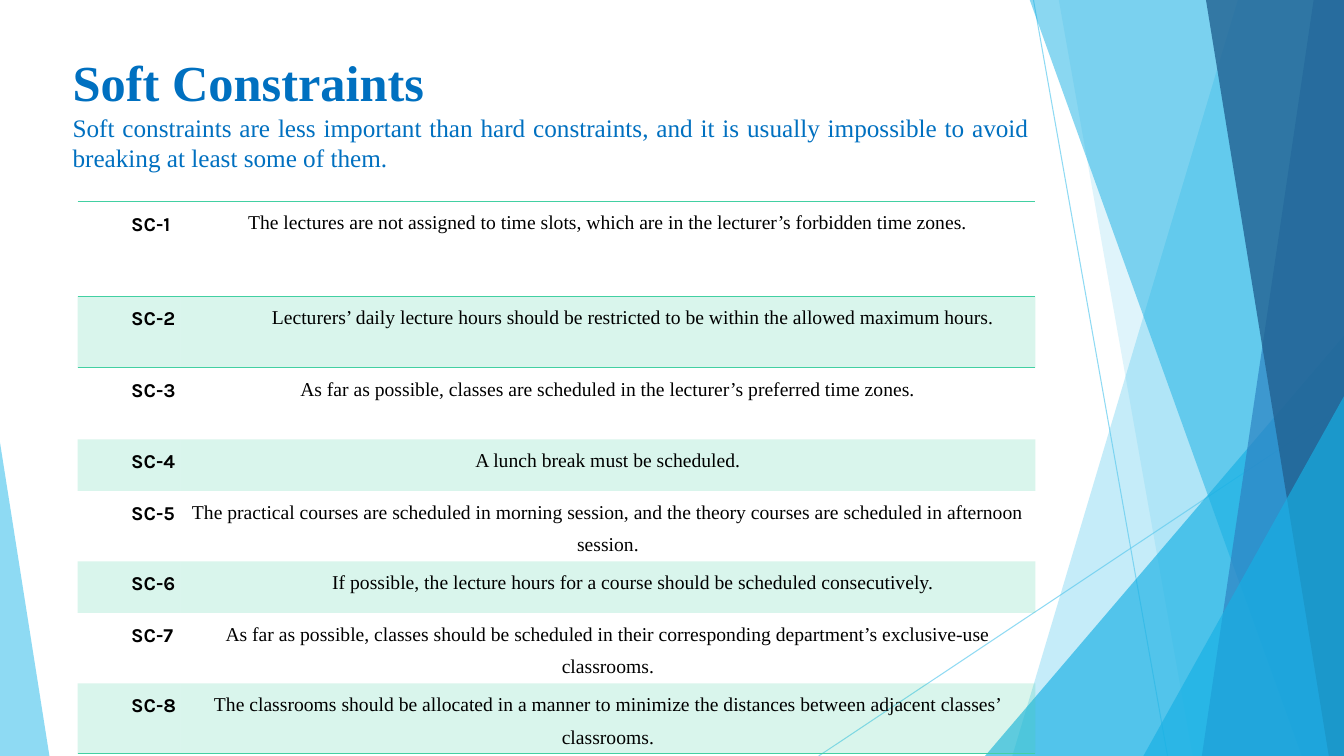
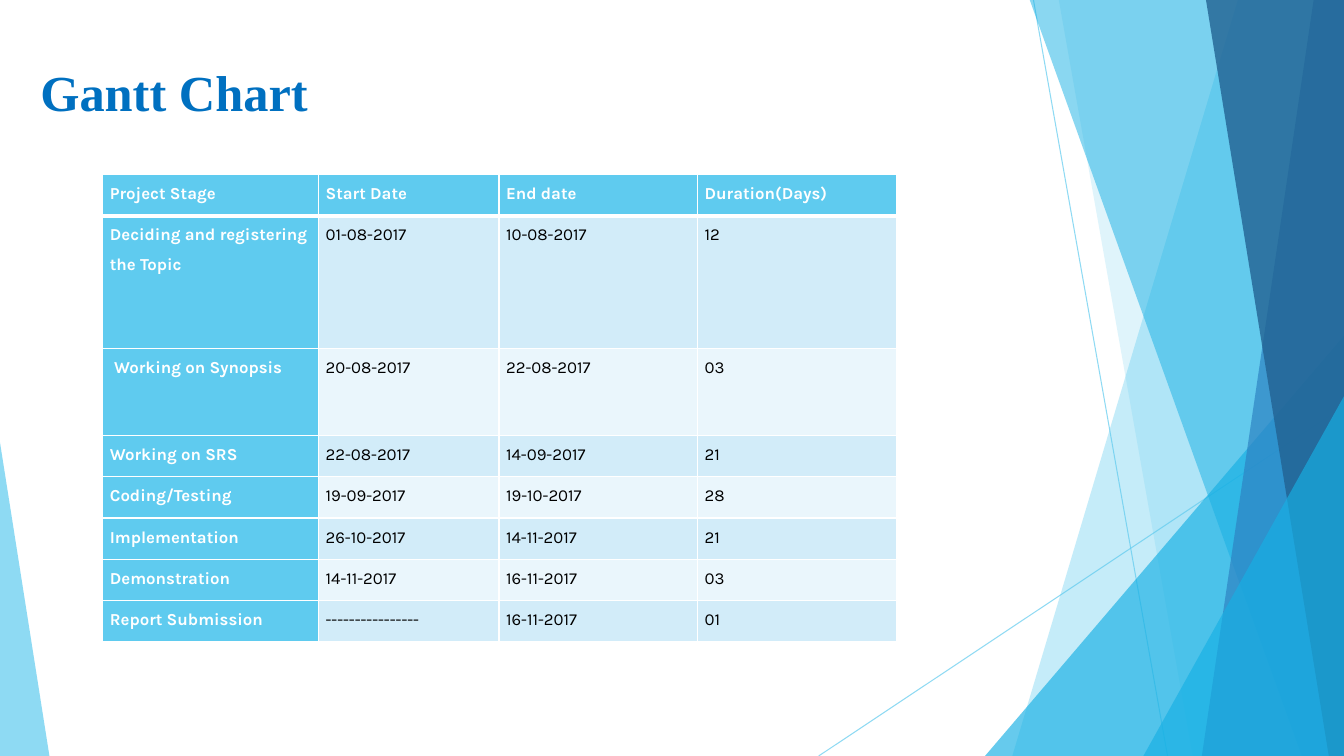
from dataclasses import dataclass
from typing import Any

from lxml import etree
from pptx import Presentation
from pptx.dml.color import RGBColor
from pptx.enum.shapes import MSO_CONNECTOR, MSO_SHAPE
from pptx.enum.text import MSO_ANCHOR, MSO_AUTO_SIZE, PP_ALIGN
from pptx.oxml.ns import qn
from pptx.util import Inches, Pt

STRAIGHT = MSO_CONNECTOR.STRAIGHT
TRIANGLE = MSO_SHAPE.ISOSCELES_TRIANGLE
LEFT, CENTER, JUSTIFY = PP_ALIGN.LEFT, PP_ALIGN.CENTER, PP_ALIGN.JUSTIFY

SKY = RGBColor(0x5F, 0xCB, 0xEF)
CYAN = RGBColor(0x17, 0xB0, 0xE4)
BLUE = RGBColor(0x2E, 0x83, 0xC3)
NAVY = RGBColor(0x22, 0x62, 0x92)
TITLE_BLUE = RGBColor(0x00, 0x70, 0xC0)
GREEN = RGBColor(0x42, 0xD0, 0xA2)
PALE_BLUE = RGBColor(0xD2, 0xEC, 0xF9)
PALER_BLUE = RGBColor(0xEA, 0xF6, 0xFC)
WHITE = RGBColor(0xFF, 0xFF, 0xFF)
BLACK = RGBColor(0x00, 0x00, 0x00)

SERIF, SANS = "Times New Roman", "Karla"
SLIDE_WIDTH, SLIDE_HEIGHT = 13.33, 7.5
BAND_TOP = -0.01
PLAIN_TABLE_STYLE = "{2D5ABB26-0587-4C30-8999-92F81FD0307C}"


@dataclass(frozen=True)
class Band:
    top_left: float
    bottom_left: float
    color: RGBColor
    opacity: int


@dataclass(frozen=True)
class Corner:
    left: float
    top: float
    width: float
    apex: float
    color: RGBColor
    opacity: int


@dataclass(frozen=True)
class Ray:
    start: tuple[float, float]
    end: tuple[float, float]


@dataclass(frozen=True)
class Constraint:
    text: str
    height: float
    indent: float = 0


@dataclass(frozen=True)
class Stage:
    values: tuple[str, str, str, str]
    height: float = 0.41


BACKDROP = (
    Ray((10.25, 0), (11.58, 7.5)),
    Ray((13.33, 4.03), (8.12, 7.5)),
    Band(12.28, 10.04, SKY, 36),
    Band(10.5, 11.83, SKY, 20),
    Corner(9.77, 3.33, 3.56, 1, CYAN, 66),
    Band(10.21, 12.91, CYAN, 50),
    Band(13.03, 11.92, BLUE, 70),
    Band(11.96, 13.18, NAVY, 80),
    Corner(11.34, 3.93, 1.99, 1, CYAN, 66),
    Corner(0, 4.39, 0.49, 0, SKY, 70),
)

CONSTRAINTS = (
    Constraint("The lectures are not assigned to time slots, which are in the lecturer’s forbidden time zones.", 0.94),
    Constraint("Lecturers’ daily lecture hours should be restricted to be within the allowed maximum hours.", 0.71, 0.5),
    Constraint("As far as possible, classes are scheduled in the lecturer’s preferred time zones.", 0.71),
    Constraint("A lunch break must be scheduled.", 0.51),
    Constraint("The practical courses are scheduled in morning session, and the theory courses "
               "are scheduled in afternoon session.", 0.7),
    Constraint("If possible, the lecture hours for a course should be scheduled consecutively.", 0.51, 0.5),
    Constraint("As far as possible, classes should be scheduled in their corresponding department’s "
               "exclusive-use classrooms.", 0.7),
    Constraint("The classrooms should be allocated in a manner to minimize the distances between "
               "adjacent classes’ classrooms.", 0.7),
)

STAGES = (
    Stage(("Project Stage", "Start Date", "End date", "Duration(Days)")),
    Stage(("Deciding and registering the Topic", "01-08-2017", "10-08-2017", "12"), 1.32),
    Stage((" Working on Synopsis", "20-08-2017", "22-08-2017", "03"), 0.86),
    Stage(("Working on SRS", "22-08-2017", "14-09-2017", "21")),
    Stage(("Coding/Testing", "19-09-2017", "19-10-2017", "28")),
    Stage(("Implementation", "26-10-2017", "14-11-2017", "21")),
    Stage(("Demonstration", "14-11-2017", "16-11-2017", "03")),
    Stage(("Report Submission", "----------------", "16-11-2017", "01")),
)


def set_opacity(element: Any, opacity: int) -> None:
    for color in element.iter(qn("a:srgbClr")):
        etree.SubElement(color, qn("a:alpha")).set("val", str(opacity * 1000))


def draw_ray(slide: Any, ray: Ray) -> Any:
    connector = slide.shapes.add_connector(STRAIGHT, *map(Inches, ray.start + ray.end))
    connector.line.color.rgb = SKY
    connector.line.width = Pt(0.75)
    set_opacity(connector.element, 70)
    etree.SubElement(connector.element.spPr, qn("a:effectLst"))
    return connector


def draw_area(slide: Any, area: Band | Corner) -> Any:
    if isinstance(area, Band):
        outline = ((SLIDE_WIDTH, BAND_TOP), (SLIDE_WIDTH, SLIDE_HEIGHT), (area.bottom_left, SLIDE_HEIGHT))
        builder = slide.shapes.build_freeform(Inches(area.top_left), Inches(BAND_TOP))
        builder.add_line_segments([(Inches(x), Inches(y)) for x, y in outline], close=True)
        shape = builder.convert_to_shape()
    else:
        shape = slide.shapes.add_shape(TRIANGLE, Inches(area.left), Inches(area.top),
                                       Inches(area.width), Inches(SLIDE_HEIGHT - area.top))
        shape.adjustments[0] = area.apex
    shape.shadow.inherit = False
    shape.fill.solid()
    shape.fill.fore_color.rgb = area.color
    shape.line.fill.background()
    set_opacity(shape.element, area.opacity)
    return shape


def move_backdrop_to_layout(slide: Any) -> None:
    for item in BACKDROP:
        shape = draw_ray(slide, item) if isinstance(item, Ray) else draw_area(slide, item)
        slide.slide_layout.shapes.element.append(shape.element)


def write(paragraph: Any, text: str, *, font: str, size: float, color: RGBColor, bold: bool = False,
          align: Any = LEFT, line_spacing: float = 1, indent: float = 0) -> None:
    run = paragraph.add_run()
    run.text = text
    run.font.name = font
    run.font.size = Pt(size)
    run.font.bold = bold
    run.font.color.rgb = color
    paragraph.alignment = align
    paragraph.line_spacing = line_spacing
    paragraph.space_before = Pt(0)
    if indent:
        paragraph._p.get_or_add_pPr().set("marL", str(Inches(indent)))


def place_title(slide: Any, text: str, left: float, top: float, width: float, height: float) -> Any:
    title = slide.shapes.title
    title.left, title.top, title.width, title.height = map(Inches, (left, top, width, height))
    frame = title.text_frame
    frame.auto_size = MSO_AUTO_SIZE.NONE
    frame.word_wrap = True
    frame.vertical_anchor = MSO_ANCHOR.BOTTOM
    write(frame.paragraphs[0], text, font=SERIF, size=36, color=TITLE_BLUE, bold=True)
    return frame


def add_plain_table(slide: Any, left: float, top: float, columns: tuple[float, ...],
                    rows: tuple[float, ...]) -> Any:
    frame = slide.shapes.add_table(len(rows), len(columns), Inches(left), Inches(top),
                                   Inches(sum(columns)), Inches(sum(rows)))
    table = frame.table
    next(frame.element.iter(qn("a:tableStyleId"))).text = PLAIN_TABLE_STYLE
    table.first_row = table.horz_banding = False
    for column, width in zip(table.columns, columns):
        column.width = Inches(width)
    for row, height in zip(table.rows, rows):
        row.height = Inches(height)
    return table


def format_cell(cell: Any, *, margin: float, fill: RGBColor | None, border: RGBColor,
                widths: dict[str, float], opacity: int = 100) -> None:
    cell.margin_left = cell.margin_right = Inches(margin)
    cell.margin_top = cell.margin_bottom = 0
    properties = cell._tc.get_or_add_tcPr()
    for side in "LRTB":
        if side in widths:
            line = etree.SubElement(properties, qn(f"a:ln{side}"), w=str(Pt(widths[side])))
            solid = etree.SubElement(line, qn("a:solidFill"))
            etree.SubElement(solid, qn("a:srgbClr"), val=str(border))
    if fill is None:
        cell.fill.background()
        return
    cell.fill.solid()
    cell.fill.fore_color.rgb = fill
    if opacity < 100:
        set_opacity(properties.find(qn("a:solidFill")), opacity)


def build_constraints(slide: Any) -> None:
    frame = place_title(slide, "Soft Constraints", 0.62, 0.45, 9.69, 1.31)
    write(frame.add_paragraph(),
          "Soft constraints are less important than hard constraints, and it is usually impossible "
          "to avoid breaking at least some of them.",
          font=SERIF, size=18, color=TITLE_BLUE, align=JUSTIFY)
    table = add_plain_table(slide, 0.77, 2, (1.02, 8.48), tuple(item.height for item in CONSTRAINTS))
    ruled_sides = {0: "TB", 1: "T", len(CONSTRAINTS) - 1: "B"}
    for index, constraint in enumerate(CONSTRAINTS):
        label, description = table.rows[index].cells
        for cell in (label, description):
            format_cell(cell, margin=0.03, fill=GREEN if index % 2 else None, opacity=20,
                        border=GREEN, widths=dict.fromkeys(ruled_sides.get(index, ""), 1))
        write(label.text_frame.paragraphs[0], f"SC-{index + 1}", font=SANS, size=14, color=BLACK,
              bold=True, line_spacing=1.5, indent=0.5)
        write(description.text_frame.paragraphs[0], constraint.text, font=SERIF, size=14, color=BLACK,
              align=CENTER, line_spacing=1.5, indent=constraint.indent)


def build_schedule(slide: Any) -> None:
    place_title(slide, "Gantt Chart", 0.3, 0.55, 5.03, 0.71)
    table = add_plain_table(slide, 1.02, 1.73, (2.14, 1.79, 1.97, 1.97), tuple(stage.height for stage in STAGES))
    for row, stage in enumerate(STAGES):
        widths = {"L": 1, "R": 1, "T": 3 if row == 1 else 1, "B": 3 if row == 0 else 1}
        for column, text in enumerate(stage.values):
            heading = row == 0 or column == 0
            cell = table.cell(row, column)
            fill = SKY if heading else PALE_BLUE if row % 2 else PALER_BLUE
            format_cell(cell, margin=0.07, fill=fill, border=WHITE, widths=widths)
            write(cell.text_frame.paragraphs[0], text, font=SANS, size=12,
                  color=WHITE if heading else BLACK, bold=heading, line_spacing=1.5)


def main() -> None:
    presentation = Presentation()
    presentation.slide_width = Inches(SLIDE_WIDTH)
    presentation.slide_height = Inches(SLIDE_HEIGHT)
    layout = presentation.slide_layouts[5]
    constraints_slide, schedule_slide = (presentation.slides.add_slide(layout) for _ in range(2))
    move_backdrop_to_layout(constraints_slide)
    build_constraints(constraints_slide)
    build_schedule(schedule_slide)
    presentation.save("out.pptx")


if __name__ == "__main__":
    main()
